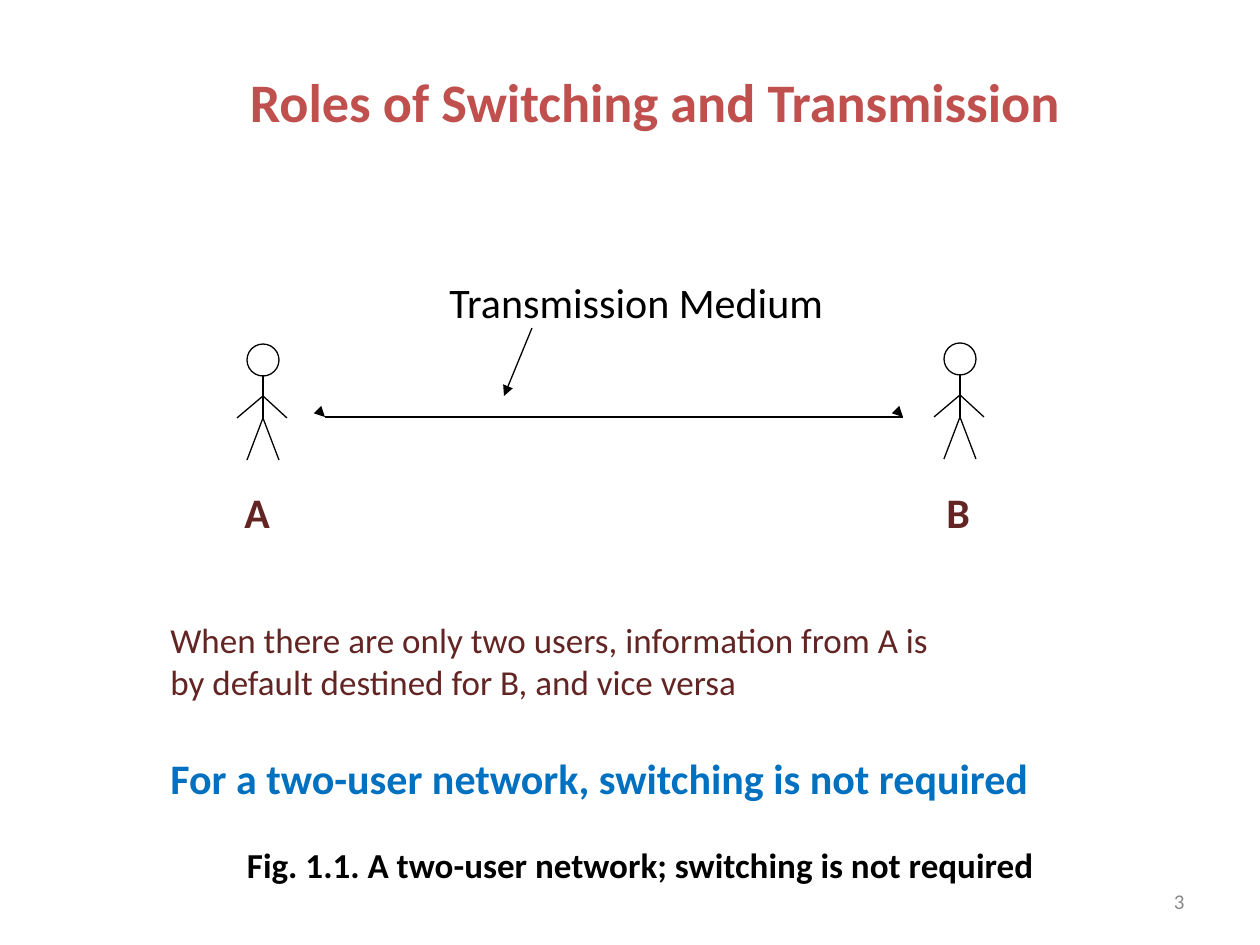
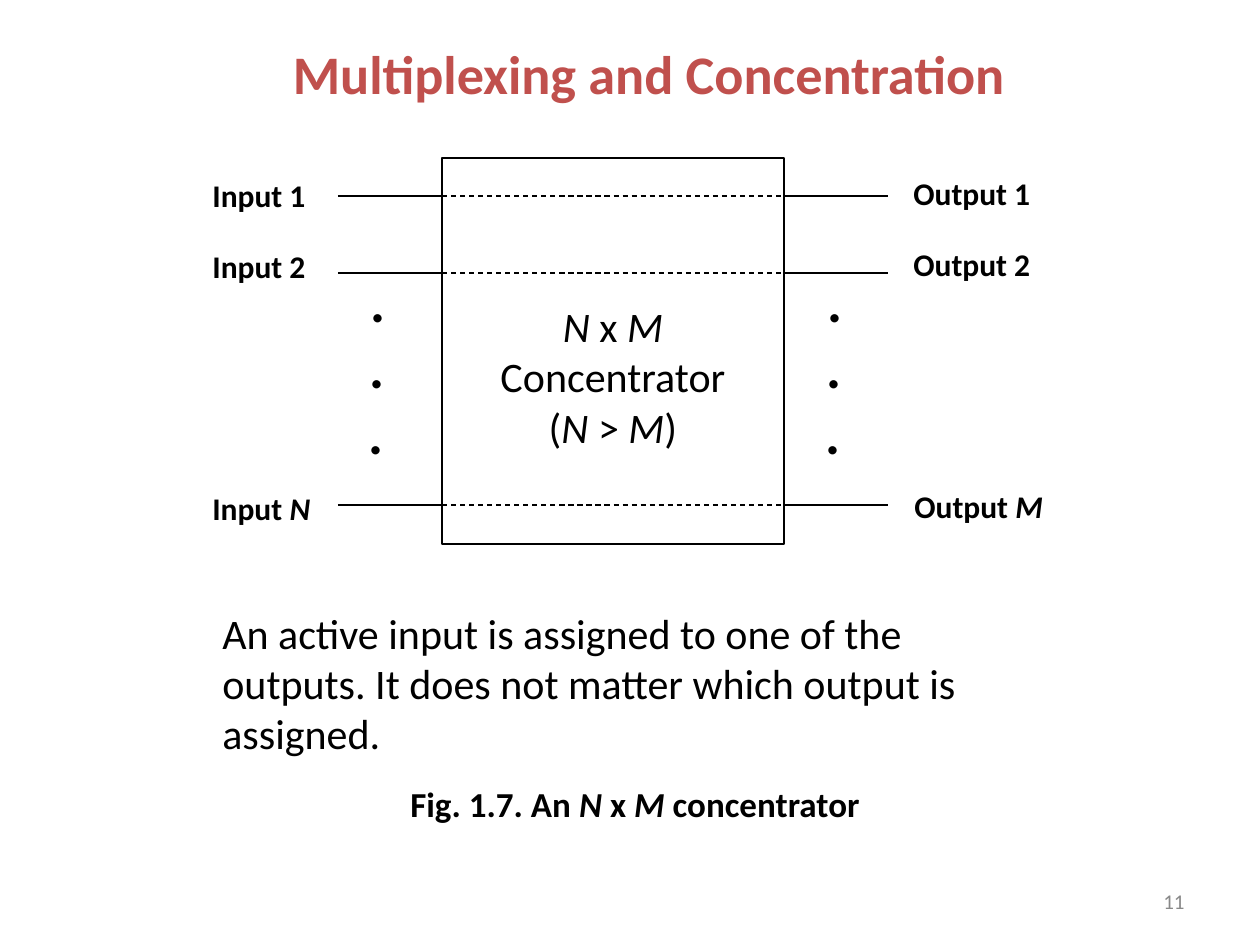
from dataclasses import dataclass

from lxml import etree
from pptx import Presentation
from pptx.dml.color import RGBColor
from pptx.enum.dml import MSO_LINE
from pptx.enum.shapes import MSO_CONNECTOR, MSO_SHAPE
from pptx.enum.text import MSO_ANCHOR, MSO_AUTO_SIZE, PP_ALIGN
from pptx.oxml.ns import qn
from pptx.util import Pt

LEFT, CENTER, RIGHT = PP_ALIGN.LEFT, PP_ALIGN.CENTER, PP_ALIGN.RIGHT
MIDDLE = MSO_ANCHOR.MIDDLE
FIT = MSO_AUTO_SIZE.SHAPE_TO_FIT_TEXT
STRAIGHT = MSO_CONNECTOR.STRAIGHT
OVAL, RECTANGLE = MSO_SHAPE.OVAL, MSO_SHAPE.RECTANGLE
DASH = MSO_LINE.DASH
PX = 914400 / 126


@dataclass(frozen=True)
class Theme:
    font: str = "Calibri"
    ink: str = "000000"
    title: str = "C0504D"
    maroon: str = "632523"
    blue: str = "0070C0"
    gray: str = "898989"
    line: float = 0.75
    title_size: int = 31
    dot_size: int = 32
    large: int = 24
    medium: int = 20
    label: int = 18
    small: int = 12


THEME = Theme()


def write(shape, lines, size, color=THEME.ink, bold=False, align=LEFT,
          middle=False, wrap=False):
    """Fill a shape with lines of text; parts between asterisks are italic."""
    frame = shape.text_frame
    frame.word_wrap = wrap
    if middle:
        frame.vertical_anchor = MIDDLE
    else:
        frame.auto_size = FIT
    for index, line in enumerate(lines):
        para = frame.paragraphs[0] if index == 0 else frame.add_paragraph()
        para.alignment = align
        for position, part in enumerate(line.split("*")):
            if part:
                span = para.add_run()
                span.text = part
                span.font.name = THEME.font
                span.font.size = Pt(size)
                span.font.bold = bold
                span.font.italic = position % 2 == 1
                span.font.color.rgb = RGBColor.from_string(color)
    return frame


def draw_line(page, x1, y1, x2, y2, arrow=False, dashed=False):
    line = page.shapes.add_connector(
        STRAIGHT, *(round(v * PX) for v in (x1, y1, x2, y2)))
    line.line.color.rgb = RGBColor.from_string(THEME.ink)
    line.line.width = Pt(THEME.line)
    if dashed:
        line.line.dash_style = DASH
    if arrow:
        outline = line.line._get_or_add_ln()
        etree.SubElement(outline, qn("a:tailEnd"), type="triangle")
    etree.SubElement(line._element.spPr, qn("a:effectLst"))


deck = Presentation()
deck.slide_width = round(1260 * PX)
deck.slide_height = round(945 * PX)
blank = deck.slide_layouts[6]
users_page = deck.slides.add_slide(blank)
concentrator_page = deck.slides.add_slide(blank)

# Titles, captions and page numbers
frames = [
    (users_page, "Roles of Switching and Transmission", (104, 46, 1101, 110),
     "Fig. 1.1. A two-user network; switching is not required",
     (105, 817, 1071, 94), "3"),
    (concentrator_page, "Multiplexing and Concentration", (113, 26, 1071, 94),
     "Fig. 1.7. An *N* x *M* concentrator", (304, 756, 662, 94), "11"),
]
for page, title, title_area, caption, caption_area, number in frames:
    for text, area, size, color, bold, align in (
        (title, title_area, THEME.title_size, THEME.title, True, CENTER),
        (caption, caption_area, THEME.medium, THEME.ink, True, CENTER),
        (number, (903, 876, 294, 50), THEME.small, THEME.gray, False, RIGHT),
    ):
        box = page.shapes.add_textbox(*(round(v * PX) for v in area))
        write(box, [text], size, color, bold, align, middle=True, wrap=True)

# Two users, each a stick figure placed by its centre and top
limbs = [(0, 31, 0, 74), (0, 52, -26, 74), (0, 52, 24, 74),
         (0, 74, -16, 116), (0, 74, 16, 116)]
for name, center, top, name_left in (("A", 263, 344, 232), ("B", 960, 343, 934)):
    head = users_page.shapes.add_shape(
        OVAL, *(round(v * PX) for v in (center - 16, top, 32, 32)))
    head.shadow.inherit = False
    head.fill.background()
    head.line.color.rgb = RGBColor.from_string(THEME.ink)
    head.line.width = Pt(THEME.line)
    for x1, y1, x2, y2 in limbs:
        draw_line(users_page, center + x1, top + y1, center + x2, top + y2)
    box = users_page.shapes.add_textbox(
        *(round(v * PX) for v in (name_left, 480, 49, 63)))
    write(box, [name], THEME.large, THEME.maroon, bold=True)

# Transmission medium, with a slanted arrowhead touching each end
medium_left, medium_right, medium_y = 325, 903, 417
head_reach = 7
draw_line(users_page, medium_left, medium_y, medium_right, medium_y)
for end in (medium_left, medium_right):
    draw_line(users_page, end - head_reach, medium_y - head_reach,
              end, medium_y, arrow=True)
draw_line(users_page, 532, 328, 504, 396, arrow=True)
box = users_page.shapes.add_textbox(
    *(round(v * PX) for v in (437, 270, 402, 63)))
write(box, ["Transmission Medium"], THEME.large)

box = users_page.shapes.add_textbox(
    *(round(v * PX) for v in (158, 612, 920, 248)))
explanation = write(box, [
    "When there are only two users, information from A is",
    "by default destined for B, and vice versa",
    "For a two-user network, switching is not required",
], THEME.medium, THEME.maroon, wrap=True)
conclusion = explanation.paragraphs[2]
conclusion.line_spacing = 2.0
for span in conclusion.runs:
    span.font.size = Pt(THEME.large)
    span.font.bold = True
    span.font.color.rgb = RGBColor.from_string(THEME.blue)

# Concentrator block
block_left, block_right = 442, 784
block = concentrator_page.shapes.add_shape(
    RECTANGLE, *(round(v * PX) for v in
                 (block_left, 158, block_right - block_left, 386)))
block.shadow.inherit = False
block.fill.background()
block.line.color.rgb = RGBColor.from_string(THEME.ink)
block.line.width = Pt(THEME.line)
block_text = write(block, ["*N* x *M*", "Concentrator", "(*N* > *M*)"],
                   THEME.large, align=CENTER, middle=True)
block_text.margin_top = round(56 * PX)

# Wires: solid outside the block, dashed inside
wire_length = 104
for y in (196, 273, 505):
    draw_line(concentrator_page, block_left - wire_length, y, block_left, y)
    draw_line(concentrator_page, block_left, y, block_right, y, dashed=True)
    draw_line(concentrator_page, block_right, y, block_right + wire_length, y)

# Port names and the dots between them
port_labels = [
    ("Input 1", 200, 170, 118), ("Input 2", 200, 241, 118),
    ("Input *N*", 200, 483, 126),
    ("Output 1", 901, 168, 142), ("Output 2", 901, 239, 142),
    ("Output *M*", 902, 481, 156),
]
for text, left, top, width in port_labels:
    box = concentrator_page.shapes.add_textbox(
        *(round(v * PX) for v in (left, top, width, 50)))
    write(box, [text], THEME.label, bold=True)
for left in (358, 815):
    for step in range(3):
        box = concentrator_page.shapes.add_textbox(
            *(round(v * PX) for v in (left - step, 260 + 66 * step, 40, 81)))
        write(box, ["."], THEME.dot_size, bold=True)

box = concentrator_page.shapes.add_textbox(
    *(round(v * PX) for v in (210, 601, 842, 164)))
write(box, ["An active input is assigned to one of the outputs. "
            "It does not matter which output is assigned."],
      THEME.large, wrap=True)

deck.save("out.pptx")
